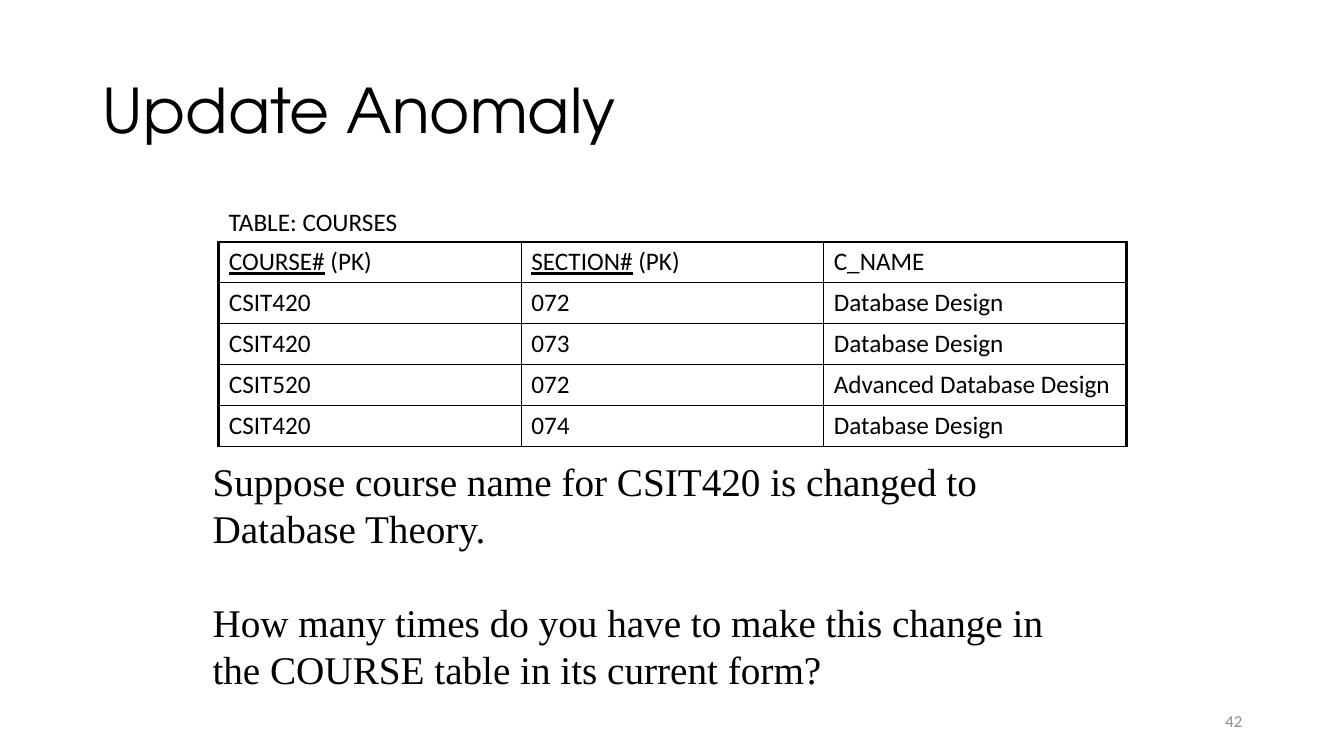
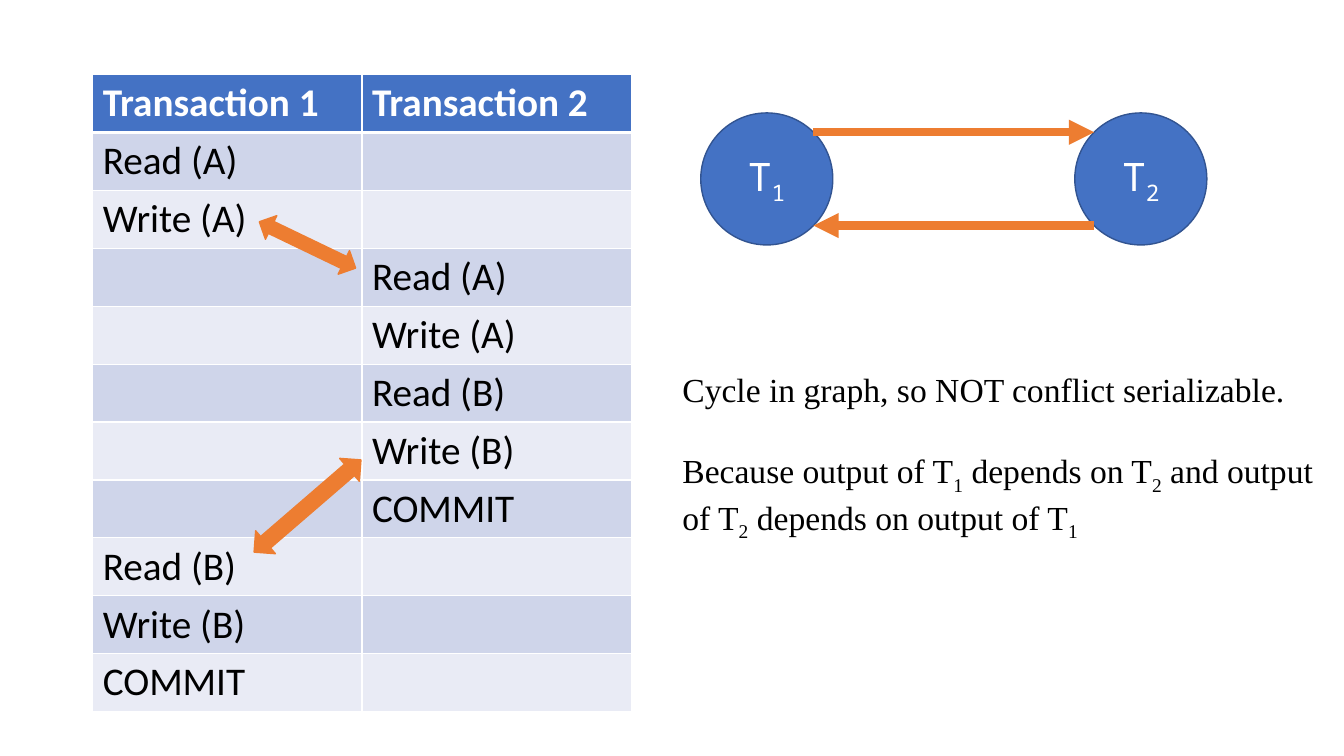
import math
from dataclasses import dataclass

from lxml import etree
from pptx import Presentation
from pptx import util as u
from pptx.dml.color import RGBColor
from pptx.enum import shapes, text
from pptx.oxml.ns import qn


@dataclass(frozen=True)
class Theme:
    black: str = "000000"
    white: str = "FFFFFF"
    gray: str = "8C8C8C"
    blue: str = "4472C4"
    blue_edge: str = "325491"
    orange: str = "ED7D31"
    bands: tuple = ("CFD5EA", "E9EBF5")
    title_font: str = "TeX Gyre Adventor"
    body_font: str = "Calibri"
    note_font: str = "Times New Roman"
    node_font: str = "Noto Sans Mono"
    title_size: int = 44
    large: int = 28
    medium: int = 24
    small: int = 18
    tiny: int = 12


T = Theme()
SUB = {"baseline": -25000}
UNDERLINE = {"underline": True}


def set_attrs(obj, values):
    for name, value in values.items():
        setattr(obj, name, value)


def style(font="body_font", size=T.small, color=T.black, **extra):
    return {"name": getattr(T, font), "size": u.Pt(size), "color": color, **extra}


def add_run(p, content, fmt):
    r = p.add_run()
    r.text = content
    values = dict(fmt)
    r.font.color.rgb = RGBColor.from_string(values.pop("color"))
    baseline = values.pop("baseline", None)
    set_attrs(r.font, values)
    if baseline:
        r.font._element.set("baseline", str(baseline))


def write(tf, paras, fmt, formats=()):
    for i, runs in enumerate(paras):
        p = tf.paragraphs[0] if i == 0 else tf.add_paragraph()
        if i < len(formats):
            set_attrs(p, formats[i])
        for item in [runs] if isinstance(runs, str) else runs:
            content, extra = (item, {}) if isinstance(item, str) else item
            add_run(p, content, {**fmt, **extra})


def inches(box):
    return [u.Inches(v) for v in box]


def add_text(s, box, paras, fmt, formats=(), anchor=text.MSO_ANCHOR.TOP, wrap=True):
    tf = s.shapes.add_textbox(*inches(box)).text_frame
    set_attrs(tf, {"word_wrap": wrap, "vertical_anchor": anchor})
    write(tf, paras, fmt, formats)


def add_title(s, content):
    add_text(s, (0.92, 0.4, 11.5, 1.45), [content], style("title_font", T.title_size),
             [{"line_spacing": 0.9}], text.MSO_ANCHOR.MIDDLE)


def add_page_number(s, number):
    add_text(s, (9.42, 6.95, 3, 0.4), [str(number)], style(size=T.tiny, color=T.gray),
             [{"alignment": text.PP_ALIGN.RIGHT}], text.MSO_ANCHOR.MIDDLE)


def set_borders(cell, color, widths):
    tc_pr = cell._tc.get_or_add_tcPr()
    for side, width in zip("LRTB", widths):
        ln = etree.SubElement(tc_pr, qn(f"a:ln{side}"), w=str(u.Pt(width)))
        fill = etree.SubElement(ln, qn("a:solidFill"))
        etree.SubElement(fill, qn("a:srgbClr"), val=color)


def add_grid(s, box, rows, cell_format):
    cols = len(rows[0])
    table = s.shapes.add_table(len(rows), cols, *inches(box)).table
    set_attrs(table, {"first_row": False, "horz_banding": False})
    for column in table.columns:
        column.width = u.Inches(box[2] / cols)
    for i, values in enumerate(rows):
        table.rows[i].height = u.Inches(box[3] / len(rows))
        for j, value in enumerate(values):
            cell = table.cell(i, j)
            fmt, line, widths, fill = cell_format(i, j)
            set_borders(cell, line, widths)
            if fill:
                cell.fill.solid()
                cell.fill.fore_color.rgb = RGBColor.from_string(fill)
            else:
                cell.fill.background()
            if value:
                write(cell.text_frame, [value], fmt)


def course_cell(i, j):
    widths = (2.25 if j == 0 else 1, 2.25 if j == 2 else 1, 2.25 if i == 0 else 1, 1)
    return style(), T.black, widths, None


def schedule_cell(i, j):
    if i == 0:
        return style(size=T.large, color=T.white, bold=True), T.white, (1, 1, 1, 3), T.blue
    return style(size=T.large, bold=False), T.white, (1, 1, 3 if i == 1 else 1, 1), T.bands[(i - 1) % 2]


def add_filled(s, kind, box, fill, line, rotation=0):
    sp = s.shapes.add_shape(kind, *inches(box))
    sp.shadow.inherit = False
    sp.fill.solid()
    sp.fill.fore_color.rgb = RGBColor.from_string(fill)
    sp.line.color.rgb = RGBColor.from_string(line)
    set_attrs(sp, {"rotation": rotation})
    sp.line.width = u.Pt(1)
    return sp


def add_edge(s, start, end):
    cx = s.shapes.add_connector(shapes.MSO_CONNECTOR.STRAIGHT, *inches((*start, *end)))
    cx.line.color.rgb = RGBColor.from_string(T.orange)
    cx.line.width = u.Pt(6)
    etree.SubElement(cx.line._get_or_add_ln(), qn("a:tailEnd"), type="triangle")
    etree.SubElement(cx._element.spPr, qn("a:effectLst"))


def add_graph(s, box):
    left, top, width, size = box
    for n, x in enumerate((left, left + width - size), 1):
        sp = add_filled(s, shapes.MSO_SHAPE.OVAL, (x, top, size, size), T.blue, T.blue_edge)
        sp.text_frame.vertical_anchor = text.MSO_ANCHOR.MIDDLE
        write(sp.text_frame, [["T", (str(n), SUB)]], style("node_font", T.large, T.white),
              [{"alignment": text.PP_ALIGN.CENTER}])
    inset = size / 2 * (1 - math.sqrt(0.5))
    x1, x2 = left + size - inset, left + width - size + inset
    y1, y2 = top + inset, top + size - inset
    add_edge(s, (x1, y1), (x2, y1))
    add_edge(s, (x2, y2), (x1, y2))


def add_conflicts(s, box):
    left, top = box[:2]
    for x, y, w, h, rotation in ((2, 1.16, 0.26, 1.06, 295.7), (1.98, 3.58, 0.3, 1.4, 229.2)):
        add_filled(s, shapes.MSO_SHAPE.UP_DOWN_ARROW, (left + x, top + y, w, h),
                   T.orange, T.orange, rotation)


def update_anomaly(s):
    add_title(s, "Update Anomaly")
    rows = [
        [[("COURSE#", UNDERLINE), " (PK)"], [("SECTION#", UNDERLINE), " (PK)"], "C_NAME"],
        ["CSIT420", "072", "Database Design"],
        ["CSIT420", "073", "Database Design"],
        ["CSIT520", "072", "Advanced Database Design"],
        ["CSIT420", "074", "Database Design"],
    ]
    add_grid(s, (2.17, 2.4, 9, 2.03), rows, course_cell)
    line = {"line_spacing": u.Pt(33.6)}
    add_text(s, (2.01, 4.49, 9, 2.46), [
        "Suppose course name for CSIT420 is changed to Database Theory.",
        "How many times do you have to make this change in the COURSE table in its current form?",
    ], style("note_font", T.large), [line, {**line, "space_before": u.Pt(33.6)}])
    add_text(s, (2.17, 2, 5, 0.4), ["TABLE: COURSES"], style())
    add_page_number(s, 42)


def conflict_graph(s):
    steps = [(0, "Read (A)"), (0, "Write (A)"), (1, "Read (A)"), (1, "Write (A)"),
             (1, "Read (B)"), (1, "Write (B)"), (1, "COMMIT"),
             (0, "Read (B)"), (0, "Write (B)"), (0, "COMMIT")]
    rows = [["Transaction 1", "Transaction 2"]]
    rows += [[step if j == column else "" for j in range(2)] for column, step in steps]
    schedule = (0.92, 0.74, 5.34, 6.32)
    add_grid(s, schedule, rows, schedule_cell)
    add_graph(s, (6.95, 1.12, 5.02, 1.31))
    add_conflicts(s, schedule)
    one, two = ("1", SUB), ("2", SUB)
    add_text(s, (6.67, 3.61, 6.47, 1.72), [
        "Cycle in graph, so NOT conflict serializable.",
        ["Because output of T", one, " depends on T", two, " and output"],
        ["of T", two, " depends on output of T", one],
    ], style("note_font", T.medium), [
        {"line_spacing": u.Pt(29)},
        {"line_spacing": u.Pt(33), "space_before": u.Pt(29)},
        {"line_spacing": u.Pt(33)},
    ], wrap=False)


def main():
    prs = Presentation()
    set_attrs(prs, {"slide_width": u.Inches(13.33), "slide_height": u.Inches(7.5)})
    for build in (update_anomaly, conflict_graph):
        build(prs.slides.add_slide(prs.slide_layouts[6]))
    prs.save("out.pptx")


if __name__ == "__main__":
    main()
